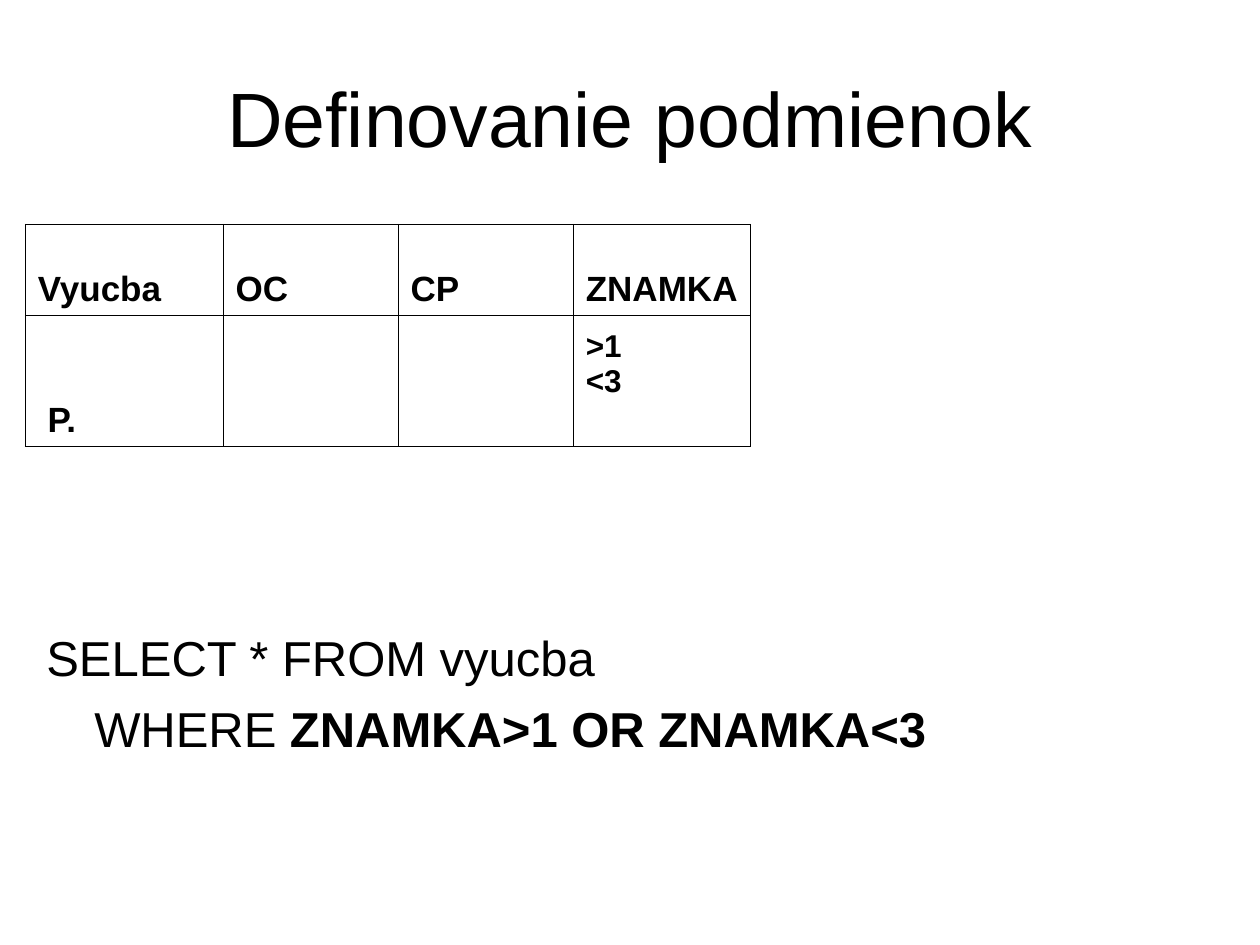
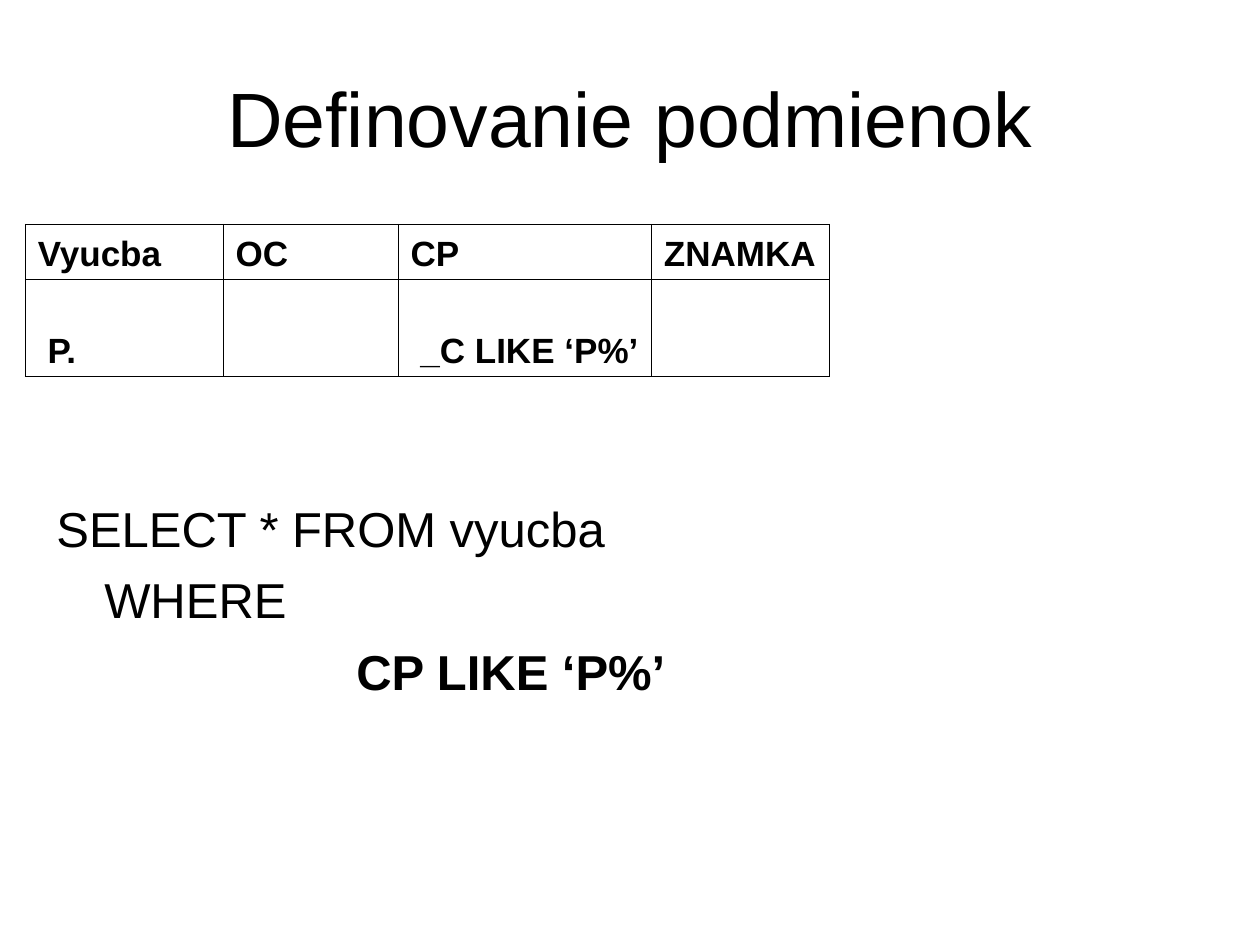
from pptx import Presentation
from pptx.dml.color import RGBColor
from pptx.enum.text import MSO_ANCHOR, PP_ALIGN
from pptx.oxml import parse_xml
from pptx.oxml.ns import nsdecls
from pptx.util import Inches, Pt

FONT, INK = "Arial", "000000"
TITLE = "Definovanie podmienok"
HEADS = ["Vyucba", "OC", "CP", "ZNAMKA"]
STEP = 0.38  # indent of a continued SQL line


def color(code):
    return RGBColor.from_string(code)


def style(run, size, bold=False):
    font = run.font
    font.name, font.size, font.bold = FONT, Pt(size), bold
    font.color.rgb = color(INK)


def add_title(slide, box):
    title = slide.shapes.title
    title.left, title.top, title.width, title.height = map(Inches, box)
    frame = title.text_frame
    frame.text = TITLE
    frame.vertical_anchor = MSO_ANCHOR.MIDDLE
    para = frame.paragraphs[0]
    para.alignment = PP_ALIGN.CENTER
    style(para.runs[0], 44)


def add_edges(cell):
    props = cell._tc.get_or_add_tcPr()
    for spot, side in enumerate("LRTB"):
        props.insert(spot, parse_xml(
            f'<a:ln{side} {nsdecls("a")} w="{Pt(0.45)}"><a:solidFill>'
            f'<a:srgbClr val="{INK}"/></a:solidFill></a:ln{side}>'))


def add_grid(slide, left, top, cols, rows, values, sizes):
    """Values and sizes of the second row; the heads are shared."""
    frame = slide.shapes.add_table(
        2, len(cols), Inches(left), Inches(top),
        Inches(sum(cols)), Inches(sum(rows)))
    table = frame.table
    table.first_row = table.horz_banding = False
    for col, width in zip(table.columns, cols):
        col.width = Inches(width)
    for row, height in zip(table.rows, rows):
        row.height = Inches(height)
    texts = HEADS + values
    for cell, text, size in zip(table.iter_cells(), texts, [20] * 4 + sizes):
        cell.fill.background()
        add_edges(cell)
        cell.vertical_anchor = MSO_ANCHOR.BOTTOM
        cell.text_frame.text = text
        for para in cell.text_frame.paragraphs:
            for run in para.runs:
                style(run, size, True)
    return table


def add_query(slide, box, lines):
    """Each line is an indent and its (text, bold) parts."""
    shape = slide.shapes.add_textbox(*map(Inches, box))
    frame = shape.text_frame
    frame.word_wrap = True
    for num, (indent, parts) in enumerate(lines):
        para = frame.add_paragraph() if num else frame.paragraphs[0]
        para.space_before = Pt(7)
        para._p.get_or_add_pPr().set("marL", str(Inches(indent)))
        for text, bold in parts:
            run = para.add_run()
            run.text = text
            style(run, 28, bold)


def add_page(deck, cols, rows, values, sizes, box, lines):
    slide = deck.slides.add_slide(deck.slide_layouts[5])
    add_title(slide, (0.5, 0.3, 9, 1.25))
    add_query(slide, box, lines)
    return add_grid(slide, 0.2, 1.78, cols, rows, values, sizes)


deck = Presentation()
deck.slide_width, deck.slide_height = Inches(10), Inches(7.5)
select = (0, [("SELECT * FROM vyucba", False)])

# Range of marks
table = add_page(
    deck, [1.57, 1.39, 1.39, 1.41], [0.72, 1.04],
    ["\u00a0P.", "", "", ">1\n<3"], [20, 20, 20, 18],
    (0.27, 4.93, 9, 1.42),
    [select, (STEP, [("WHERE ", False), ("ZNAMKA>1 OR ZNAMKA<3", True)])])
table.cell(1, 3).margin_bottom = Inches(0.37)  # lifts the two limits

# Text pattern
add_page(
    deck, [1.57, 1.39, 2.01, 1.41], [0.44, 0.77],
    ["\u00a0P.", "", "\u00a0_C LIKE ‘P%’", ""], [20] * 4,
    (0.35, 3.91, 9, 2.39),
    [select, (STEP, [("WHERE", False)]),
     (STEP + 2, [("CP LIKE ‘P%’", True)])])

deck.save("out.pptx")
